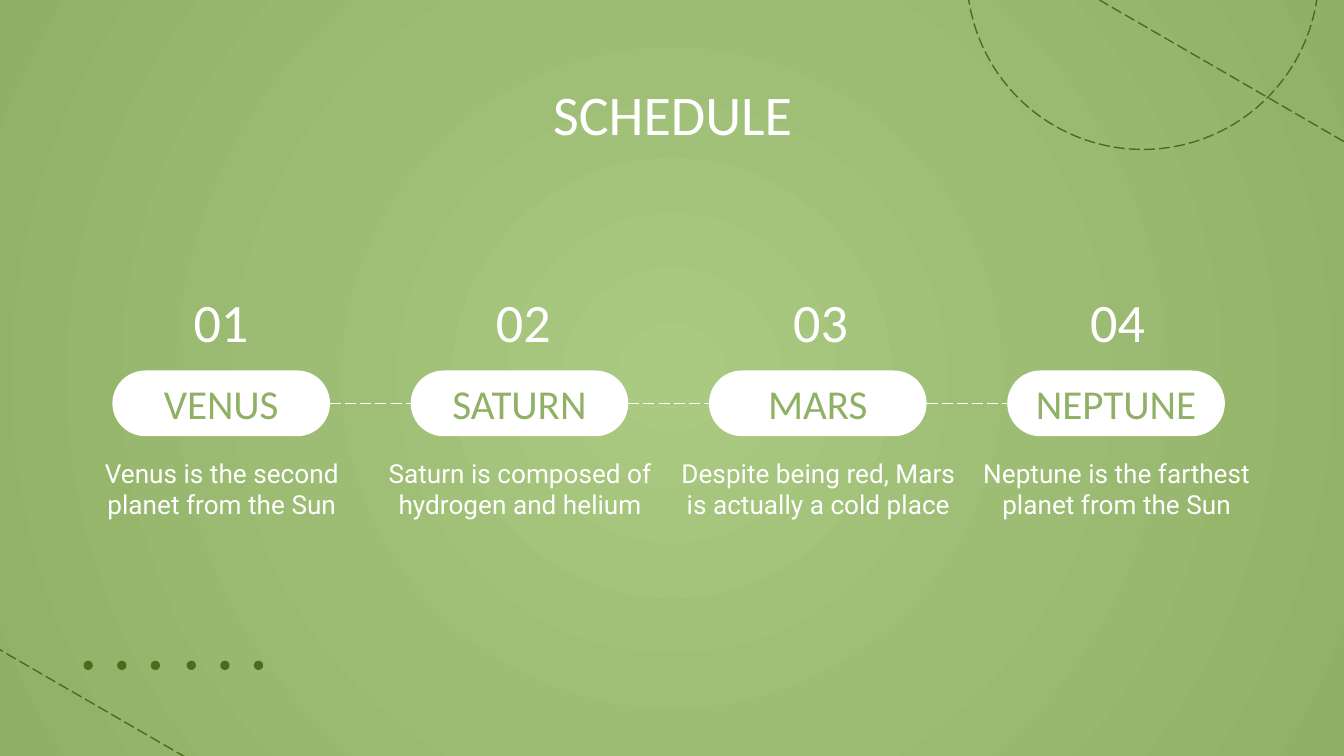
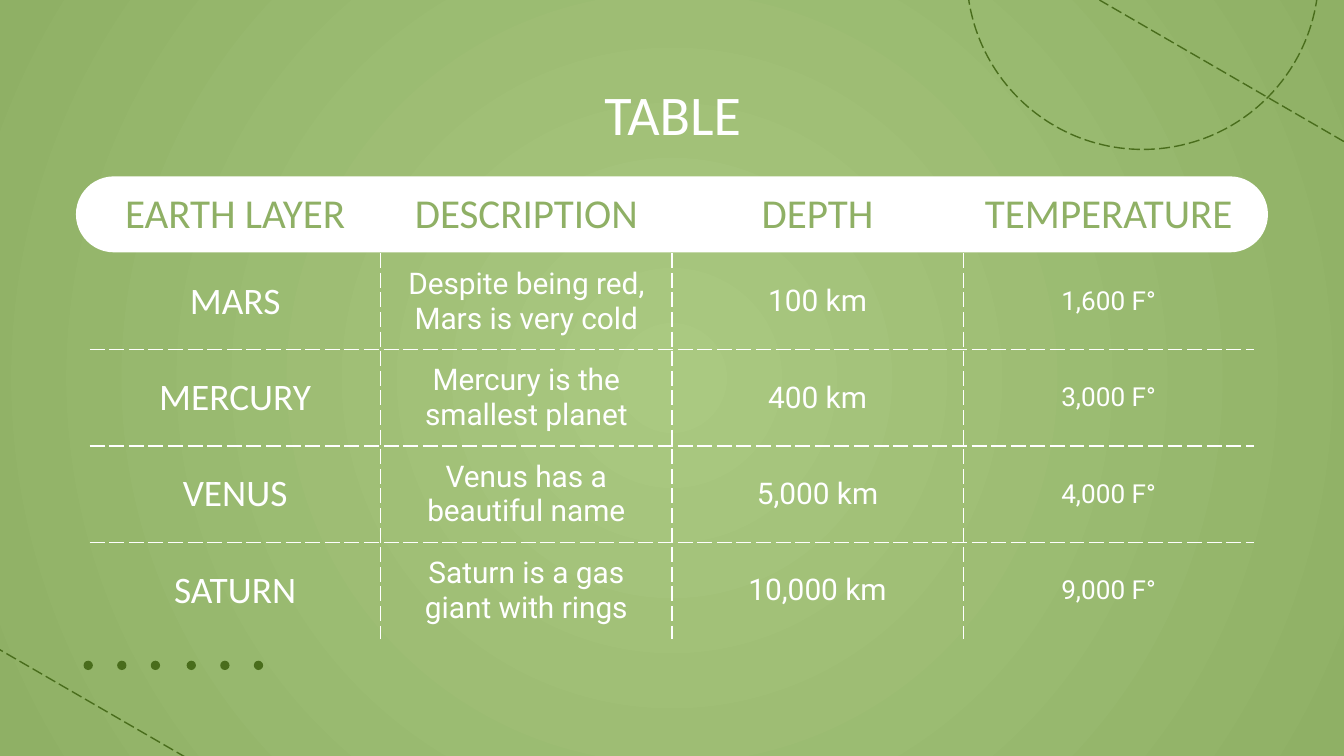
from dataclasses import dataclass
from typing import Any

import pptx
import pptx.dml.color
import pptx.enum.dml
import pptx.enum.shapes
import pptx.enum.text
import pptx.oxml.ns
import pptx.util
from lxml import etree

Pt = pptx.util.Pt
qn = pptx.oxml.ns.qn
SHAPE = pptx.enum.shapes.MSO_SHAPE
ANCHOR = pptx.enum.text.MSO_ANCHOR

COLORS = {
    "glow": "AAC981",
    "leaf": "8FB065",
    "forest": "496D1C",
    "white": "FFFFFF",
}
HEADING_FONT = "Calibri"
BODY_FONT = "Roboto"
LINE_WIDTH = 0.75
INSET = 7.2
NO_STYLE_TABLE = "{2D5ABB26-0587-4C30-8999-92F81FD0307C}"


@dataclass(frozen=True)
class Frame:
    left: float
    top: float
    width: float
    height: float

    def lengths(self) -> tuple:
        return Pt(self.left), Pt(self.top), Pt(self.width), Pt(self.height)


@dataclass(frozen=True)
class TextStyle:
    font: str
    size: float
    color: str = "white"


@dataclass(frozen=True)
class Stage:
    number: str
    number_left: float
    planet: str
    description: str


@dataclass(frozen=True)
class Column:
    heading: str
    style: TextStyle
    values: tuple[str, ...]


TITLE_FRAME = Frame(56.9, 35.3, 607, 45.4)
TITLE_STYLE = TextStyle(HEADING_FONT, 30)
NUMBER_STYLE = TextStyle(HEADING_FONT, 29)
LABEL_STYLE = TextStyle(HEADING_FONT, 22, "leaf")
DESCRIPTION_STYLE = TextStyle(BODY_FONT, 14)
ROW_NAME_STYLE = TextStyle(HEADING_FONT, 20)
CELL_STYLE = TextStyle(BODY_FONT, 16)

STAGES = (
    Stage("01", 73.4, "VENUS", "Venus is the second planet from the Sun"),
    Stage("02", 235.4, "SATURN", "Saturn is composed of hydrogen and helium"),
    Stage("03", 394.6, "MARS", "Despite being red, Mars is actually a cold place"),
    Stage("04", 553.7, "NEPTUNE", "Neptune is the farthest planet from the Sun"),
)
STAGE_PITCH = 159.8

COLUMNS = (
    Column("EARTH LAYER", ROW_NAME_STYLE, ("MARS", "MERCURY", "VENUS", "SATURN")),
    Column("DESCRIPTION", CELL_STYLE, (
        "Despite being red, Mars is very cold",
        "Mercury is the smallest planet",
        "Venus has a beautiful name",
        "Saturn is a gas giant with rings",
    )),
    Column("DEPTH", CELL_STYLE, ("100 km", "400 km", "5,000 km", "10,000 km")),
    Column("TEMPERATURE", DESCRIPTION_STYLE, ("1,600 F°", "3,000 F°", "4,000 F°", "9,000 F°")),
)
COLUMN_WIDTH = 156
ROW_HEIGHTS = (41, 41, 41, 41, 36.7)


def rgb(name: str) -> pptx.dml.color.RGBColor:
    return pptx.dml.color.RGBColor.from_string(COLORS[name])


def write_text(frame: Any, words: str, style: TextStyle) -> None:
    para = frame.paragraphs[0]
    para.alignment = pptx.enum.text.PP_ALIGN.CENTER
    span = para.add_run()
    span.text = words
    span.font.name = style.font
    span.font.size = Pt(style.size)
    span.font.color.rgb = rgb(style.color)


def fill_box(box: Any, words: str, style: TextStyle, anchor: Any = ANCHOR.MIDDLE) -> None:
    frame = box.text_frame
    frame.word_wrap = True
    frame.auto_size = pptx.enum.text.MSO_AUTO_SIZE.NONE
    frame.vertical_anchor = anchor
    frame.margin_left = frame.margin_right = Pt(INSET)
    frame.margin_top = frame.margin_bottom = Pt(INSET)
    write_text(frame, words, style)


def dash_line(line: Any, color: str) -> None:
    line.color.rgb = rgb(color)
    line.width = Pt(LINE_WIDTH)
    line.dash_style = pptx.enum.dml.MSO_LINE.LONG_DASH


def add_solid(shapes: Any, kind: Any, place: Frame, color: str) -> Any:
    shape = shapes.add_shape(kind, *place.lengths())
    shape.shadow.inherit = False
    shape.fill.solid()
    shape.fill.fore_color.rgb = rgb(color)
    shape.line.fill.background()
    return shape


def add_pill(page: Any, place: Frame) -> Any:
    pill = add_solid(page.shapes, SHAPE.ROUNDED_RECTANGLE, place, "white")
    pill.adjustments[0] = 0.5
    return pill


def add_dashed_line(page: Any, start: tuple, end: tuple, color: str) -> Any:
    connector = page.shapes.add_connector(
        pptx.enum.shapes.MSO_CONNECTOR.STRAIGHT, *map(Pt, start + end))
    dash_line(connector.line, color)
    etree.SubElement(connector._element.spPr, qn("a:effectLst"))
    return connector


def set_background(deck: Any) -> None:
    """Give the slide master a radial gradient centred on the slide."""
    master = deck.slide_master
    fill = master.background.fill
    fill.gradient()
    for stop, color in zip(fill.gradient_stops, ("glow", "leaf")):
        stop.color.rgb = rgb(color)
    gradient = master.element.find(".//" + qn("p:bg")).find(".//" + qn("a:gradFill"))
    gradient.remove(gradient.find(qn("a:lin")))
    circle = etree.SubElement(gradient, qn("a:path"), path="circle")
    etree.SubElement(circle, qn("a:fillToRect"), l="50000", t="50000", r="50000", b="50000")


def add_decor(page: Any) -> None:
    """Draw the dashed orbit, the two diagonals and the row of dots."""
    orbit = page.shapes.add_shape(SHAPE.OVAL, *Frame(517.9, -108.5, 188.6, 188.6).lengths())
    orbit.shadow.inherit = False
    orbit.fill.background()
    dash_line(orbit.line, "forest")
    add_dashed_line(page, (113.8, 414), (-101.5, 289.4), "forest")
    add_dashed_line(page, (804.2, 124.6), (589, 0), "forest")
    dots = page.shapes.add_group_shape()
    for trio_left in (44.8, 100):
        for index in range(3):
            add_solid(dots.shapes, SHAPE.OVAL, Frame(trio_left + 18 * index, 354, 5, 5), "forest")


def add_page(deck: Any, title: str) -> Any:
    page = deck.slides.add_slide(deck.slide_layouts.get_by_name("Title Only"))
    add_decor(page)
    box = page.shapes.title
    box.left, box.top, box.width, box.height = TITLE_FRAME.lengths()
    fill_box(box, title, TITLE_STYLE, ANCHOR.TOP)
    return page


def add_stage(page: Any, index: int, stage: Stage) -> Any:
    """Draw one stage of the schedule and return its pill."""
    shift = STAGE_PITCH * index
    pill = add_pill(page, Frame(60.2 + shift, 198.5, 116.6, 35.2))
    fill_box(pill, stage.planet, LABEL_STYLE)
    number = page.shapes.add_textbox(*Frame(stage.number_left, 154.5, 90, 35.2).lengths())
    fill_box(number, stage.number, NUMBER_STYLE)
    note = page.shapes.add_textbox(*Frame(38.2 + shift, 242.6, 161.3, 38.2).lengths())
    fill_box(note, stage.description, DESCRIPTION_STYLE)
    return pill


def build_schedule(deck: Any) -> None:
    page = add_page(deck, "SCHEDULE")
    pills = [add_stage(page, index, stage) for index, stage in enumerate(STAGES)]
    for before, after in zip(pills, pills[1:]):
        link = add_dashed_line(page, (0, 0), (0, 0), "white")
        link.begin_connect(before, 3)
        link.end_connect(after, 1)


def add_borders(cell: Any, sides: list[str]) -> None:
    properties = cell._tc.get_or_add_tcPr()
    for side in sides:
        border = etree.SubElement(properties, qn(f"a:ln{side}"), w=str(Pt(LINE_WIDTH)))
        paint = etree.SubElement(border, qn("a:solidFill"))
        etree.SubElement(paint, qn("a:srgbClr"), val=COLORS["white"])
        etree.SubElement(border, qn("a:prstDash"), val="lgDash")


def inner_sides(row: int, column: int) -> list[str]:
    """Name the sides a body cell shares with another body cell."""
    shared = {
        "L": column > 0,
        "R": column < len(COLUMNS) - 1,
        "T": row > 1,
        "B": row < len(ROW_HEIGHTS) - 1,
    }
    return [side for side, present in shared.items() if present]


def fill_cell(cell: Any, words: str, style: TextStyle, anchor: Any) -> None:
    cell.fill.background()
    cell.vertical_anchor = anchor
    cell.margin_left = cell.margin_right = Pt(INSET)
    cell.margin_top = cell.margin_bottom = Pt(INSET)
    write_text(cell.text_frame, words, style)


def build_table(deck: Any) -> None:
    page = add_page(deck, "TABLE")
    add_pill(page, Frame(40.7, 94.5, 638.6, 40.7))
    place = Frame(48, 94.5, COLUMN_WIDTH * len(COLUMNS), sum(ROW_HEIGHTS))
    table = page.shapes.add_table(len(ROW_HEIGHTS), len(COLUMNS), *place.lengths()).table
    table.first_row = table.horz_banding = False
    table._tbl.tblPr.find(qn("a:tableStyleId")).text = NO_STYLE_TABLE
    for row, height in zip(table.rows, ROW_HEIGHTS):
        row.height = Pt(height)
    for index, column in enumerate(COLUMNS):
        table.columns[index].width = Pt(COLUMN_WIDTH)
        fill_cell(table.cell(0, index), column.heading, LABEL_STYLE, ANCHOR.TOP)
        for row, words in enumerate(column.values, start=1):
            cell = table.cell(row, index)
            add_borders(cell, inner_sides(row, index))
            fill_cell(cell, words, column.style, ANCHOR.MIDDLE)


def main() -> None:
    deck = pptx.Presentation()
    deck.slide_width, deck.slide_height = Pt(720), Pt(405)
    set_background(deck)
    build_schedule(deck)
    build_table(deck)
    deck.save("out.pptx")


if __name__ == "__main__":
    main()
